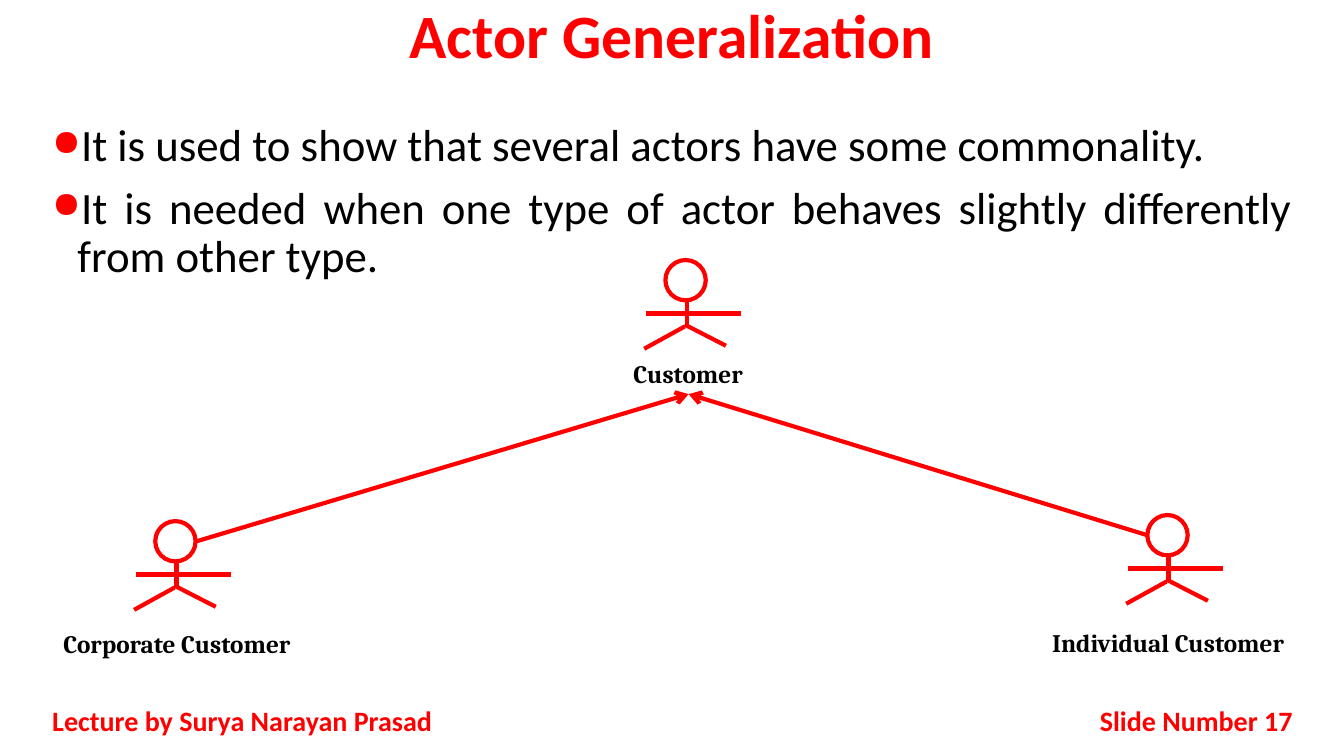
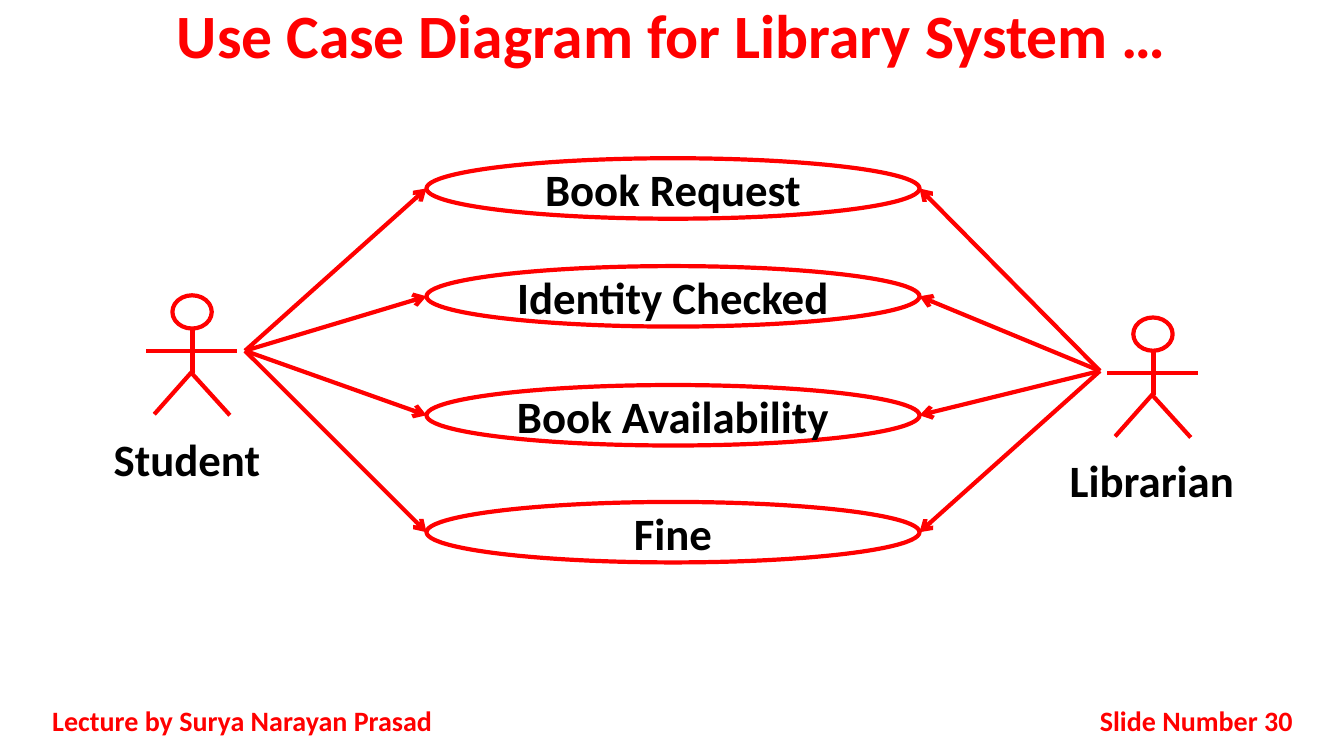
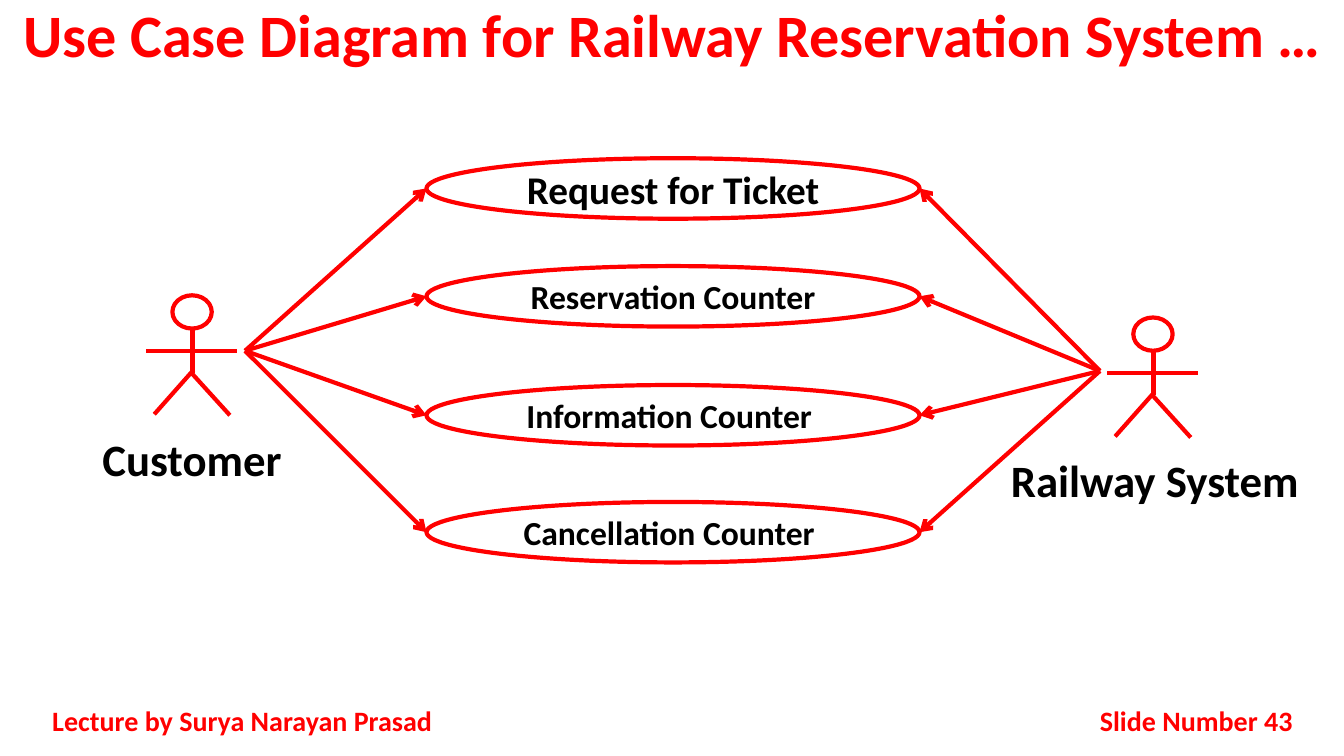
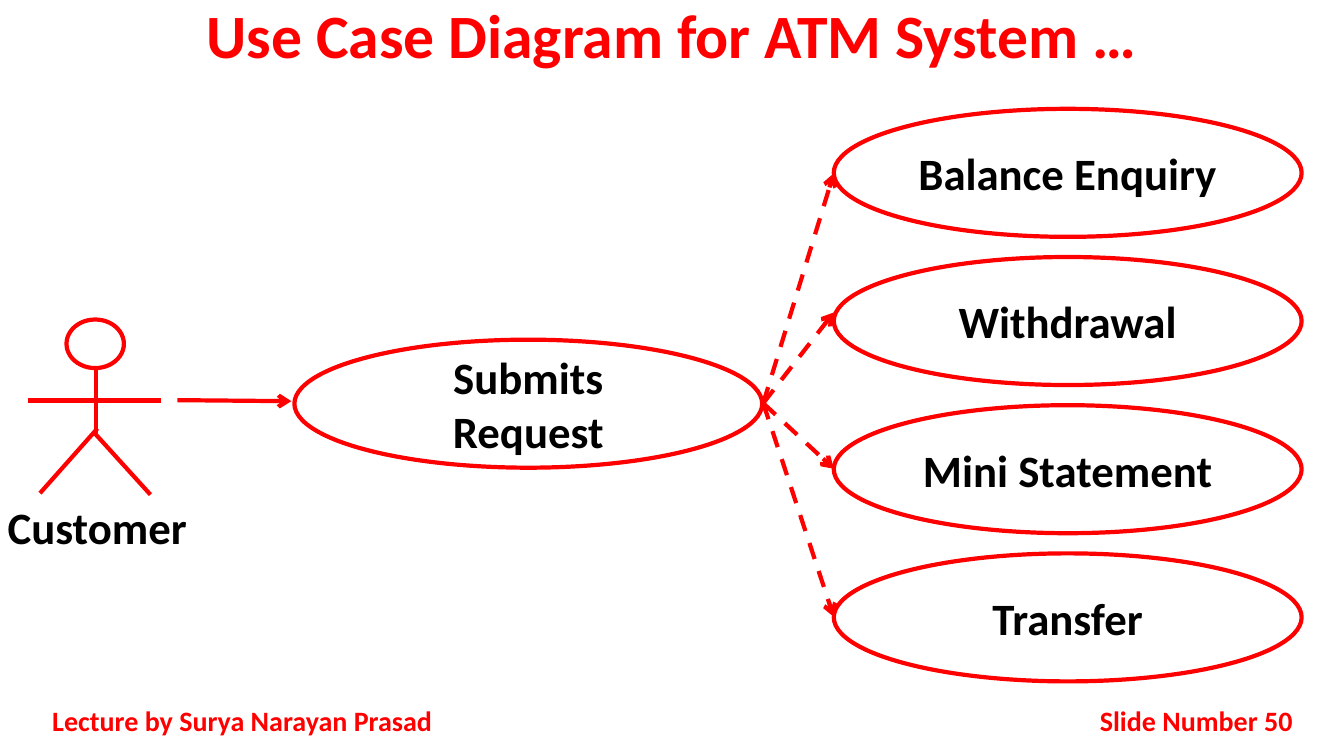
"""Build four lecture slides on use case diagrams."""
from lxml import etree
from pptx import Presentation
from pptx import util as u
from pptx.dml.color import RGBColor
from pptx.enum import dml, shapes, text
from pptx.oxml.ns import qn

RED, BLACK, WHITE = "FF0000", "000000", "FFFFFF"
ALIGN, ANCHOR = text.PP_ALIGN, text.MSO_ANCHOR
SQUAT = {"head": (0.4, 0.4), "limbs": [
    (0.21, 0.41, 0.21, 0.64), (0.19, 0.66, -0.21, 0.88),
    (0.19, 0.64, 0.6, 0.85), (-0.19, 0.53, 0.75, 0.53)]}
TALL = {"head": (0.39, 0.33), "limbs": [
    (0.2, 0.33, 0.2, 0.77), (0.21, 0.74, -0.18, 1.18),
    (0.18, 0.76, 0.57, 1.19), (-0.26, 0.55, 0.64, 0.55)]}


def color(value):
    return RGBColor.from_string(value)


def box(*lengths):
    return [u.Inches(n) for n in lengths]


def set_all(obj, **values):
    for name, value in values.items():
        setattr(obj, name, value)


class Deck:
    """Holds the shared style and the current slide."""

    def __init__(self):
        self.prs = Presentation()
        self.prs.slide_width, self.prs.slide_height = box(13.33, 7.5)

    def slide(self, title, number, size=44):
        self.s = self.prs.slides.add_slide(self.prs.slide_layouts[5])
        sp = self.s.shapes.title
        left, top, width, height = box(0, 0, 13.33, 0.83)
        set_all(sp, left=left, top=top, width=width, height=height)
        self.fill_text(sp, [title], size, RED, anchor=ANCHOR.TOP, para={"line_spacing": 0.9})
        footer = {"size": 20, "fill": RED, "anchor": ANCHOR.MIDDLE}
        self.text((0.42, 6.95, 4.17, 0.4), ["Lecture by Surya Narayan Prasad"],
                  align=ALIGN.JUSTIFY, **footer)
        self.text((10.17, 6.95, 2.75, 0.4), [f"Slide Number {number}"],
                  align=ALIGN.RIGHT, **footer)

    def fill_text(self, sp, lines, size=32, fill=BLACK, font="Calibri", bold=True,
                  align=ALIGN.CENTER, anchor=ANCHOR.MIDDLE, para=None,
                  auto_size=text.MSO_AUTO_SIZE.NONE):
        tf = sp.text_frame
        set_all(tf, word_wrap=True, vertical_anchor=anchor, auto_size=auto_size)
        for i, line in enumerate(lines):
            p = tf.add_paragraph() if i else tf.paragraphs[0]
            set_all(p, alignment=align, **(para or {}))
            r = p.add_run()
            r.text = line
            set_all(r.font, size=u.Pt(size), name=font, bold=bold)
            r.font.color.rgb = color(fill)

    def text(self, at, lines, **style):
        sp = self.s.shapes.add_textbox(*box(*at))
        self.fill_text(sp, lines, **style)
        return sp

    def label(self, at, name, **style):
        self.text(at, [name], anchor=ANCHOR.TOP,
                  auto_size=text.MSO_AUTO_SIZE.SHAPE_TO_FIT_TEXT, **style)

    def bullets(self, at, lines):
        sp = self.text(at, lines, bold=False, align=ALIGN.JUSTIFY, anchor=ANCHOR.TOP,
                       para={"line_spacing": 0.9, "space_before": u.Pt(10)})
        for p in sp.text_frame.paragraphs:
            ppr = p._p.get_or_add_pPr()
            ppr.set("marL", str(u.Inches(0.25)))
            ppr.set("indent", str(u.Inches(-0.25)))
            clr = etree.SubElement(ppr, qn("a:buClr"))
            etree.SubElement(clr, qn("a:srgbClr"), val=RED)
            etree.SubElement(ppr, qn("a:buSzPct"), val="81000")
            etree.SubElement(ppr, qn("a:buChar"), char="●")

    def stroke(self, line):
        line.color.rgb = color(RED)
        line.width = u.Pt(3)

    def ellipse(self, at, name=None, size=32):
        sp = self.s.shapes.add_shape(shapes.MSO_SHAPE.OVAL, *box(*at))
        sp.shadow.inherit = False
        sp.fill.solid()
        sp.fill.fore_color.rgb = color(WHITE)
        self.stroke(sp.line)
        if name:
            self.fill_text(sp, [name], size)

    def line(self, x1, y1, x2, y2, arrow=False, dashed=False):
        sp = self.s.shapes.add_connector(shapes.MSO_CONNECTOR.STRAIGHT, *box(x1, y1, x2, y2))
        self.stroke(sp.line)
        if dashed:
            sp.line.dash_style = dml.MSO_LINE.DASH
        if arrow:
            etree.SubElement(sp.line._get_or_add_ln(), qn("a:tailEnd"), type="arrow")
        etree.SubElement(sp._element.spPr, qn("a:effectLst"))

    def actor(self, x, y, pose=TALL, scale=1):
        self.ellipse((x, y, *(n * scale for n in pose["head"])))
        for x1, y1, x2, y2 in pose["limbs"]:
            self.line(x + x1 * scale, y + y1 * scale, x + x2 * scale, y + y2 * scale)

    def two_actor_diagram(self, left_actor, right_actor, right_box, cases):
        self.actor(1.71, 2.93)
        self.label((0.42, 4.23, 2.97, 0.64), left_actor)
        self.actor(11.24, 3.15)
        self.label(right_box, right_actor)
        for (name, size), top in zip(cases, (1.57, 2.64, 3.82, 4.98)):
            self.ellipse((4.23, top, 4.89, 0.6), name, size)
            self.line(2.43, 3.48, 4.23, top + 0.3, arrow=True)
            self.line(10.91, 3.68, 9.12, top + 0.3, arrow=True)


deck = Deck()

deck.slide("Actor Generalization", 17)
deck.bullets((0.42, 1.17, 12.5, 5.31), [
    "It is used to show that several actors have some commonality.",
    "It is needed when one type of actor behaves slightly differently from other type."])
for name, x, y, label_at in [
        ("Customer", 6.6, 2.58, (5.28, 3.51, 3.09, 0.4)),
        ("Corporate Customer", 1.54, 5.17, (0.21, 6.18, 3.09, 0.47)),
        ("Individual Customer", 11.38, 5.11, (10.04, 6.17, 3.09, 0.47))]:
    deck.actor(x, y, SQUAT)
    deck.label(label_at, name, size=18, font="Cambria")
for x, y in [(1.95, 5.37), (11.38, 5.31)]:
    deck.line(x, y, 6.83, 3.91, arrow=True)

deck.slide("Use Case Diagram for Library System …", 30)
deck.two_actor_diagram("Student ", "Librarian", (9.94, 4.44, 2.97, 0.64), [
    ("Book Request", 32), ("Identity Checked", 32), ("Book Availability", 32), ("Fine", 32)])

deck.slide("Use Case Diagram for Railway Reservation System …", 43, size=43)
deck.two_actor_diagram("Customer", "Railway System", (9.87, 4.44, 3.17, 0.64), [
    ("Request for Ticket", 28), ("Reservation Counter", 24),
    ("Information Counter ", 24), ("Cancellation Counter ", 24)])

deck.slide("Use Case Diagram for ATM System …", 50)
deck.actor(0.66, 3.17, scale=1.46)
deck.label((-1.23, 4.91, 4.39, 0.51), "Customer")
deck.ellipse((2.92, 3.37, 4.64, 1.27), "Submits Request")
deck.line(1.76, 3.97, 2.89, 3.98, arrow=True)
services = ["Balance Enquiry", "Withdrawal", "Mini Statement", "Transfer"]
for i, (name, tip) in enumerate(zip(services, (1.72, 3.1, 4.65, 6.12))):
    deck.ellipse((8.27, 1.08 + 1.47 * i, 4.64, 1.27), name)
    deck.line(7.57, 4, 8.27, tip, arrow=True, dashed=True)

deck.prs.save("out.pptx")
